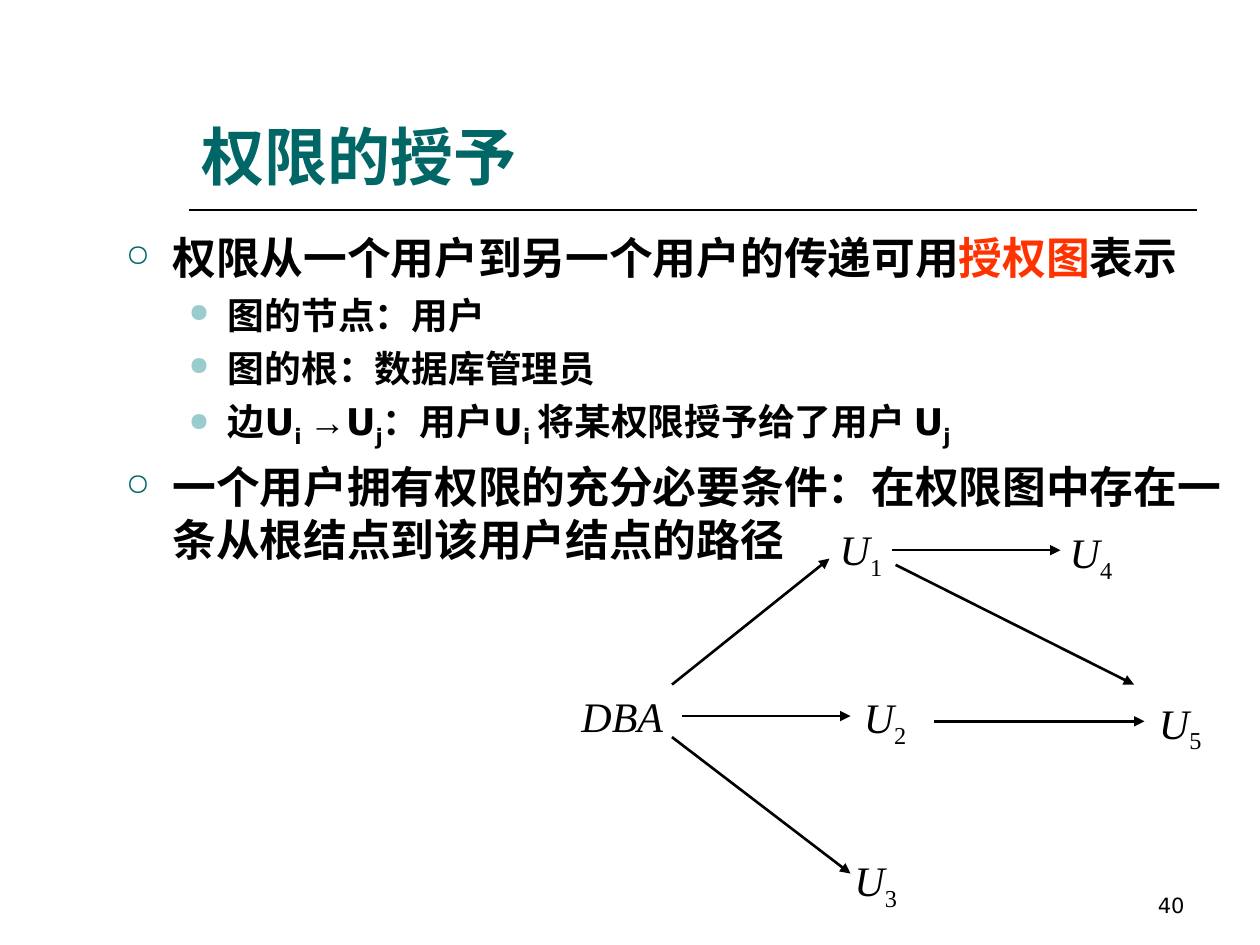
from lxml.etree import SubElement
from pptx import Presentation
from pptx.dml.color import RGBColor
from pptx.enum.shapes import MSO_CONNECTOR
from pptx.enum.text import MSO_ANCHOR, PP_ALIGN
from pptx.oxml.ns import qn
from pptx.util import Inches, Pt

deck = Presentation()
deck.slide_width, deck.slide_height = Inches(10), Inches(7.5)
col, row = deck.slide_width / 120, deck.slide_height / 90
slide = deck.slides.add_slide(deck.slide_layouts[5])
shapes = slide.shapes


def style(run, font, size, color="000000", bold=False, italic=False, sub=False):
    run.font.name, run.font.size = font, Pt(size)
    run.font.bold, run.font.italic = bold, italic
    run.font.color.rgb = RGBColor.from_string(color)
    if sub:
        run.font._element.set("baseline", "-25000")


def box(x, y, w, h, wrap=True):
    frame = shapes.add_textbox(
        int(x * col), int(y * row), int(w * col), int(h * row)).text_frame
    frame.word_wrap = wrap
    return frame


title = shapes.title
title.left, title.top = int(18 * col), int(4 * row)
title.width, title.height = int(96 * col), int(15 * row)
title.text_frame.text = "权限的授予"
title.text_frame.vertical_anchor = MSO_ANCHOR.BOTTOM
head = title.text_frame.paragraphs[0]
head.alignment = PP_ALIGN.LEFT
style(head.runs[0], "Arial", 36, "006666", bold=True)

page = box(86, 82, 28, 6)
page.text = "40"
page.vertical_anchor = MSO_ANCHOR.BOTTOM
page.paragraphs[0].alignment = PP_ALIGN.RIGHT
style(page.paragraphs[0].runs[0], "DejaVu Sans", 12)

levels = [
    dict(size=25, gap=6.2, left=0.37, hang=0.37, mark="○", tint="006666"),
    dict(size=21, gap=5.2, left=0.81, hang=0.31, mark="●", tint="99CCCC"),
]
points = [
    (0, ["权限从一个用户到另一个用户的传递可用", "授权图", "表示"]),
    (1, ["图的节点：用户"]),
    (1, ["图的根：数据库管理员"]),
    (1, ["边U", "i ", "→", "U", "j", "：用户U", "i ", "将某权限授予给了用户 U", "j"]),
    (0, ["一个用户拥有权限的充分必要条件：在权限图中存在一条从根结点到该用户结点的路径"]),
]
body = box(10.8, 21.4, 107, 56.6)
for spot, (depth, parts) in enumerate(points):
    level = levels[depth]
    para = body.paragraphs[0] if spot == 0 else body.add_paragraph()
    para.level = depth
    para.space_before = Pt(level["gap"])
    props = para._p.get_or_add_pPr()
    props.set("marL", str(Inches(level["left"])))
    props.set("indent", str(-Inches(level["hang"])))
    tint = SubElement(props, qn("a:buClr"))
    SubElement(tint, qn("a:srgbClr")).set("val", level["tint"])
    SubElement(props, qn("a:buSzPct")).set("val", "70000")
    SubElement(props, qn("a:buChar")).set("char", level["mark"])
    for part in parts:
        run = para.add_run()
        run.text = part
        style(run, "Arial" if part == "→" else "DejaVu Sans", level["size"],
              "FF3300" if part == "授权图" else "000000",
              bold=True, sub=part.strip() in ("i", "j"))

rule = (18, 20, 114, 20)
arrows = [
    (64, 65.2, 79, 53.2), (85, 52.4, 101, 52.4), (65, 68.2, 81, 68.2),
    (64, 70.2, 81, 83.2), (89, 68.7, 109, 68.7), (85.3, 53.8, 108, 65.2),
]
for ends in [rule] + arrows:
    x1, y1, x2, y2 = ends
    line = shapes.add_connector(MSO_CONNECTOR.STRAIGHT, int(x1 * col),
                                int(y1 * row), int(x2 * col), int(y2 * row))
    line.line.color.rgb = RGBColor.from_string("000000")
    line.line.width = Pt(1 if ends == rule else 1.5)
    if ends != rule:
        SubElement(line.line._get_or_add_ln(), qn("a:tailEnd")).set("type", "triangle")
    SubElement(line._element.spPr, qn("a:effectLst"))

nodes = [
    ("U", "1", 78.8, 49.3, 6.5), ("U", "4", 100.7, 49.6, 6.5),
    ("U", "2", 81.1, 65.3, 11.8), ("U", "5", 109.2, 65.8, 6.5),
    ("U", "3", 80.2, 80.8, 6.5), ("DBA", "", 54.2, 65.2, 10.2),
]
for name, index, x, y, w in nodes:
    para = box(x, y, w, 6.7 if index else 6, wrap=name == "U" and index == "2").paragraphs[0]
    para.text = name
    style(para.runs[0], "Times New Roman", 24, italic=True)
    if index:
        run = para.add_run()
        run.text = index
        style(run, "Times New Roman", 24, sub=True)

deck.save("out.pptx")
